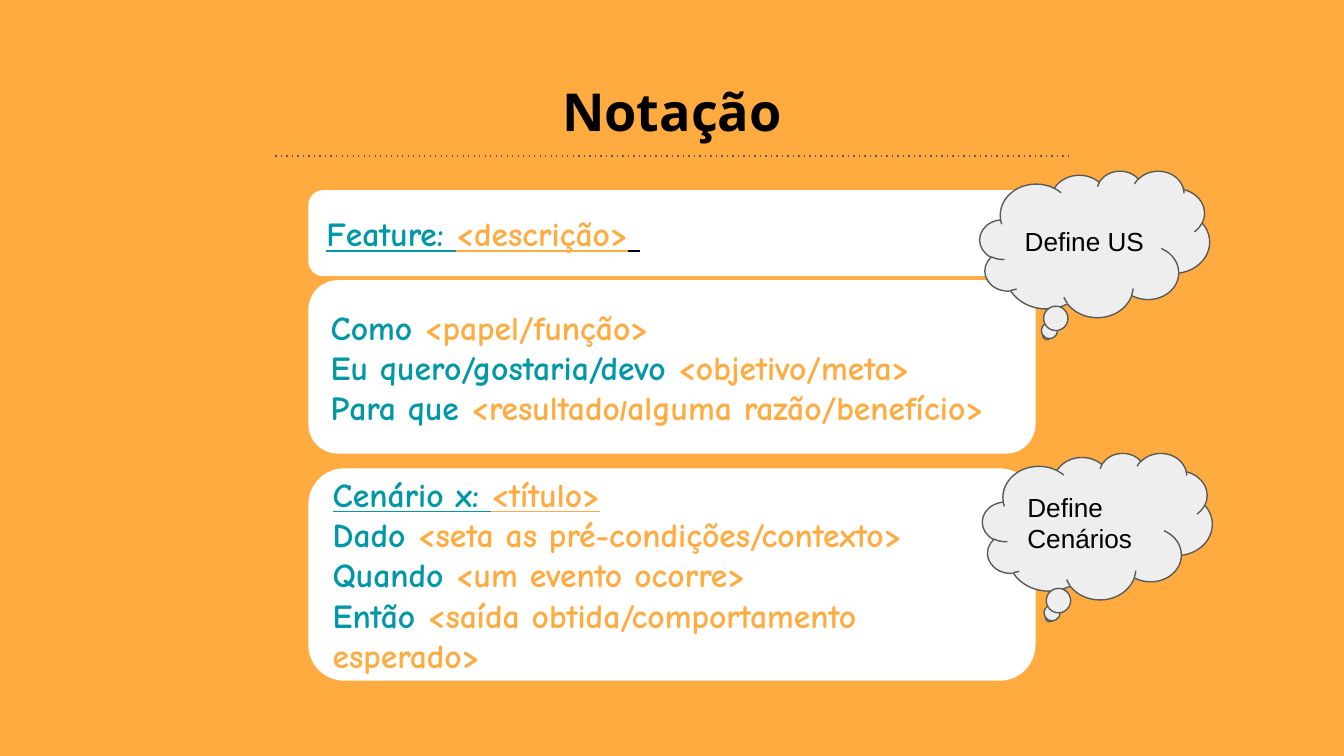
from typing import NamedTuple

import pptx
import pptx.dml.color
import pptx.enum.dml
import pptx.enum.shapes
import pptx.enum.text
import pptx.oxml
import pptx.oxml.ns
import pptx.util

Inches = pptx.util.Inches
Pt = pptx.util.Pt
Kind = pptx.enum.shapes.MSO_SHAPE
Align = pptx.enum.text.PP_ALIGN
Anchor = pptx.enum.text.MSO_ANCHOR

TEAL, AMBER, BLACK = "0097A7", "FFAB40", "000000"
WHITE, PALE, GREY = "FFFFFF", "EEEEEE", "595959"


class Run(NamedTuple):
    text: str
    color: str
    size: float = 18
    font: str = "Comic Neue"
    bold: bool = True
    under: bool = False


class Card(NamedTuple):
    top: float
    height: float
    lines: list[list[Run]]


class Cloud(NamedTuple):
    left: float
    top: float
    text: str


def rgb(code: str):
    return pptx.dml.color.RGBColor.from_string(code)


def write(para, text: str, *, color: str, size: float, font: str,
          bold: bool = False, under: bool = False) -> None:
    run = para.add_run()
    run.text = text
    run.font.name = font
    run.font.size = Pt(size)
    run.font.bold = bold
    run.font.underline = under
    run.font.color.rgb = rgb(color)


def set_frame(frame, anchor) -> None:
    frame.word_wrap = True
    frame.vertical_anchor = anchor
    frame.margin_left = frame.margin_right = Inches(0.1)
    frame.margin_top = frame.margin_bottom = Inches(0.1)


def add_box(slide, kind, box: tuple, fill: str, line: str,
            adjust: list[float], lines: list[list[Run]]) -> None:
    shape = slide.shapes.add_shape(kind, *map(Inches, box))
    shape.shadow.inherit = False
    shape.fill.solid()
    shape.fill.fore_color.rgb = rgb(fill)
    shape.line.color.rgb = rgb(line)
    shape.line.width = Pt(0.75)
    for i, value in enumerate(adjust):
        shape.adjustments[i] = value
    frame = shape.text_frame
    set_frame(frame, Anchor.MIDDLE)
    for i, runs in enumerate(lines):
        para = frame.add_paragraph() if i else frame.paragraphs[0]
        para.alignment = Align.LEFT
        for run in runs:
            write(para, **run._asdict())


def add_card(slide, card: Card) -> None:
    add_box(slide, Kind.ROUNDED_RECTANGLE, (2.3, card.top, 5.4, card.height),
            WHITE, WHITE, [0.167], card.lines)


def add_cloud(slide, cloud: Cloud) -> None:
    label = Run(cloud.text, BLACK, size=14, font="Arial", bold=False)
    add_box(slide, Kind.CLOUD_CALLOUT, (cloud.left, cloud.top, 1.71, 1.09),
            PALE, GREY, [-0.208, 0.625], [[label]])


def add_rule(slide, left: float, right: float, top: float) -> None:
    rule = slide.shapes.add_connector(
        pptx.enum.shapes.MSO_CONNECTOR.STRAIGHT,
        Inches(left), Inches(top), Inches(right), Inches(top))
    rule.line.color.rgb = rgb(GREY)
    rule.line.width = Pt(0.75)
    rule.line.dash_style = pptx.enum.dml.MSO_LINE.ROUND_DOT
    qn = pptx.oxml.ns.qn
    rule.element.find(".//" + qn("a:prstDash")).set("val", "dot")
    rule.element.find(qn("p:spPr")).append(pptx.oxml.parse_xml(
        f"<a:effectLst {pptx.oxml.ns.nsdecls('a')}/>"))


def pair(key: str, slot: str, under: bool = False) -> list[Run]:
    return [Run(key, TEAL, under=under), Run(slot, AMBER, under=under)]


CARDS = [
    Card(3.49, 1.57, [
        pair("Cenário x: ", "<título>", under=True),
        pair("Dado ", "<seta as pré-condições/contexto>"),
        pair("Quando ", "<um evento ocorre>"),
        pair("Então ", "<saída obtida/comportamento esperado>"),
    ]),
    Card(2.09, 1.28, [
        pair("Como ", "<papel/função>"),
        pair("Eu quero/gostaria/devo ", "<objetivo/meta>"),
        pair("Para que ", "<resultado") + [
            Run("/", AMBER, size=14, font="Arial"),
            Run("alguma razão/benefício>", AMBER),
        ],
    ]),
    Card(1.42, 0.63, [
        pair("Feature: ", "<descrição>", under=True)
        + [Run(" ", BLACK, under=True)],
    ]),
]
CLOUDS = [Cloud(7.29, 1.27, "Define US"), Cloud(7.31, 3.37, "Define Cenários")]


def main() -> None:
    # Widescreen 16:9 page
    deck = pptx.Presentation()
    deck.slide_width = Inches(10)
    deck.slide_height = Inches(10 * 9 / 16)
    slide = deck.slides.add_slide(deck.slide_layouts[5])
    slide.background.fill.solid()
    slide.background.fill.fore_color.rgb = rgb(AMBER)

    # Title
    title = slide.shapes.title
    title.left, title.top = Inches(0.34), Inches(0.49)
    title.width, title.height = Inches(9.32), Inches(0.63)
    set_frame(title.text_frame, Anchor.TOP)
    para = title.text_frame.paragraphs[0]
    para.alignment = Align.CENTER
    write(para, "Notação", color=BLACK, size=28, font="Open Sans", bold=True)

    # Notation cards and their thought clouds
    for card in CARDS:
        add_card(slide, card)
    for cloud in CLOUDS:
        add_cloud(slide, cloud)

    # Dotted rule under the title
    add_rule(slide, 2.05, 7.96, 1.16)

    deck.save("out.pptx")


if __name__ == "__main__":
    main()
